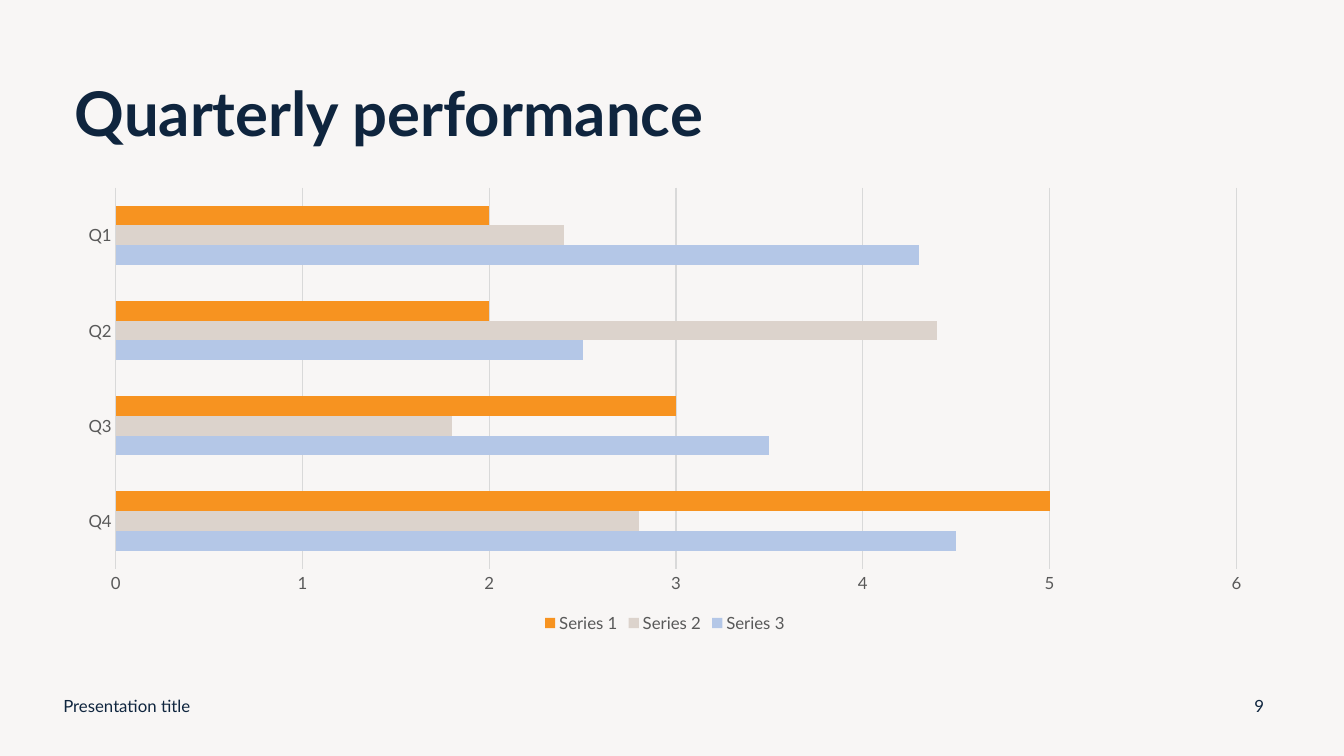
from pptx import Presentation
from pptx.chart.data import CategoryChartData
from pptx.dml.color import RGBColor
from pptx.enum.chart import XL_CHART_TYPE as CT, XL_LEGEND_POSITION as LP, XL_TICK_MARK as TM
from pptx.enum.text import MSO_ANCHOR, PP_ALIGN
from pptx.util import Inches, Pt

NAVY = RGBColor(0x0F, 0x25, 0x3E)
GRAY = RGBColor(0x59, 0x59, 0x59)
GRID = RGBColor(0xD9, 0xD9, 0xD9)
PAPER = RGBColor(0xF8, 0xF6, 0xF5)
BLUE = RGBColor(0xB4, 0xC7, 0xE7)
SAND = RGBColor(0xDC, 0xD3, 0xCC)
ORANGE = RGBColor(0xF7, 0x93, 0x20)
FONT = "Lato"


def style(font, size, color, bold=False):
    font.name = FONT
    font.size = Pt(size)
    font.color.rgb = color
    font.bold = bold


prs = Presentation()
prs.slide_width, prs.slide_height = Inches(13.33), Inches(7.5)
s = prs.slides.add_slide(prs.slide_layouts[5])
s.background.fill.solid()
s.background.fill.fore_color.rgb = PAPER

title = s.shapes.title
title.left, title.top = Inches(0.64), Inches(0.55)
title.width, title.height = Inches(11.5), Inches(1.22)
tf = title.text_frame
tf.text = "Quarterly performance"
tf.vertical_anchor = MSO_ANCHOR.MIDDLE
p = tf.paragraphs[0]
p.alignment = PP_ALIGN.LEFT
p.line_spacing = 0.9
style(p.runs[0].font, 44, NAVY, True)

series = [
    ("Series 3", (4.5, 3.5, 2.5, 4.3), BLUE),
    ("Series 2", (2.8, 1.8, 4.4, 2.4), SAND),
    ("Series 1", (5, 3, 2, 2), ORANGE),
]
data = CategoryChartData()
data.categories = ["Q4", "Q3", "Q2", "Q1"]
for name, values, color in series:
    data.add_series(name, values)
chart = s.shapes.add_chart(CT.BAR_CLUSTERED, Inches(0.64), Inches(1.77),
                           Inches(11.91), Inches(4.55), data).chart
chart.has_title = False
style(chart.font, 12, GRAY)

plot = chart.plots[0]
plot.gap_width = 182
plot.overlap = 0
plot.vary_by_categories = False
for bars, (name, values, color) in zip(plot.series, series):
    bars.format.fill.solid()
    bars.format.fill.fore_color.rgb = color

for axis in (chart.category_axis, chart.value_axis):
    axis.major_tick_mark = axis.minor_tick_mark = TM.NONE
    style(axis.tick_labels.font, 12, GRAY)
chart.value_axis.minimum_scale = 0
chart.value_axis.maximum_scale = 6
chart.value_axis.major_unit = 1
chart.value_axis.format.line.fill.background()
for line in (chart.category_axis.format.line, chart.value_axis.major_gridlines.format.line):
    line.color.rgb = GRID
    line.width = Pt(0.75)

chart.has_legend = True
chart.legend.position = LP.BOTTOM
chart.legend.include_in_layout = False
style(chart.legend.font, 12, GRAY)

footers = [
    ("Presentation title", 0.53, 4.5, PP_ALIGN.LEFT),
    ("9", 12.24, 0.5, PP_ALIGN.CENTER),
]
for text, left, width, align in footers:
    tf = s.shapes.add_textbox(Inches(left), Inches(6.8), Inches(width), Inches(0.4)).text_frame
    tf.word_wrap = True
    tf.vertical_anchor = MSO_ANCHOR.MIDDLE
    tf.text = text
    p = tf.paragraphs[0]
    p.alignment = align
    style(p.runs[0].font, 12, NAVY)

prs.save("out.pptx")
